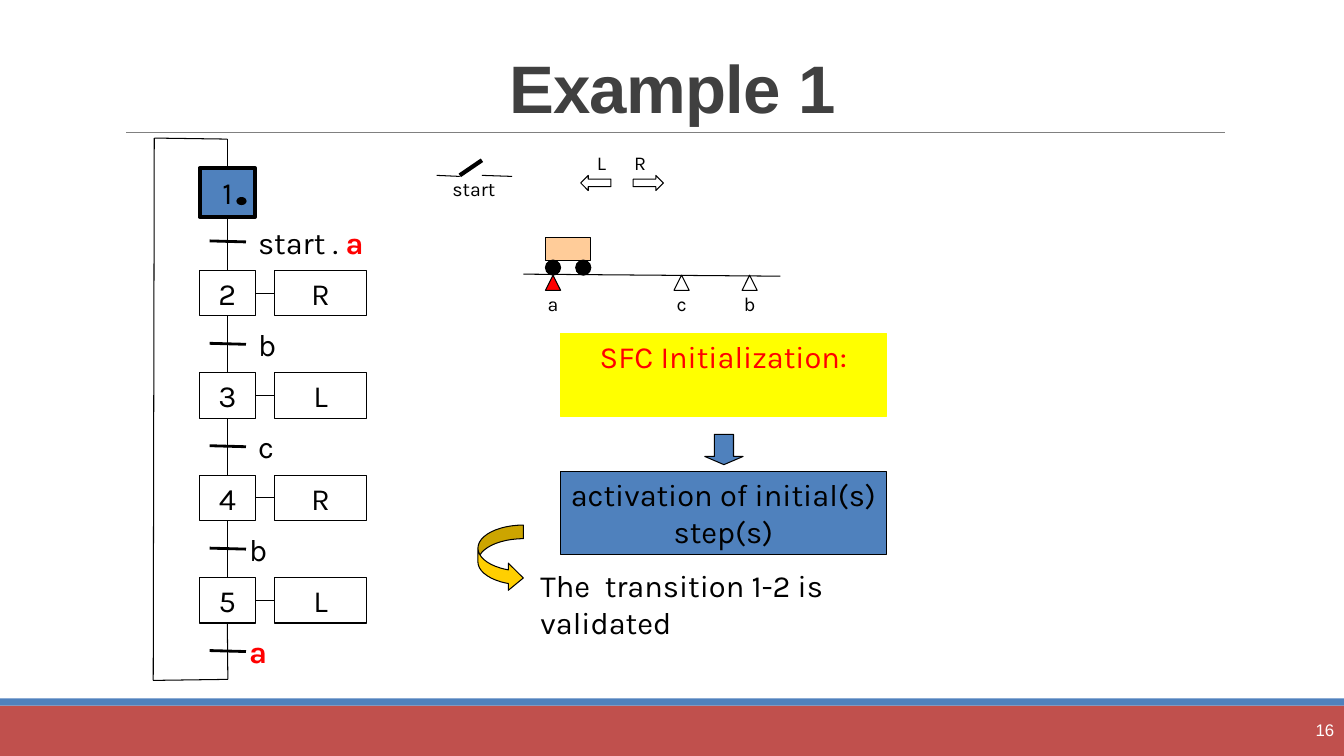
import pptx
import pptx.util
import pptx.dml.color
import pptx.enum.shapes
import pptx.enum.text
import pptx.oxml.ns
import lxml.etree

COLORS = {
    "black": "000000", "white": "FFFFFF", "title": "404040", "rule": "808080",
    "red": "FF0000", "blue": "4F81BD", "footer": "C0504D", "yellow": "FFFF00",
    "gold": "FFCF01", "cart": "FFCC99",
}
SHAPES = pptx.enum.shapes.MSO_SHAPE
ALIGN = pptx.enum.text.PP_ALIGN
ANCHOR = pptx.enum.text.MSO_ANCHOR
TOP, LEFT, BOTTOM, RIGHT = range(4)


def color_of(name):
    return pptx.dml.color.RGBColor.from_string(COLORS[name])


def write(para, text, font="Karla", size=22, color="black", bold=False,
          tracking=None):
    span = para.add_run()
    span.text = text
    span.font.name = font
    span.font.size = pptx.util.Pt(size)
    span.font.bold = bold
    span.font.color.rgb = color_of(color)
    if tracking is not None:
        span.font._element.set("spc", str(tracking))
    return span


class Page:
    """A slide whose columns and rows are a tenth of an inch each."""

    def __init__(self, deck, layout):
        self.slide = deck.slides.add_slide(layout)
        self.shapes = self.slide.shapes

    def cells(self, *counts):
        return [pptx.util.Inches(count / 10) for count in counts]

    def first_para(self, shape, align, anchor, leading=None, inset=0):
        """Prepare the text frame and return its only paragraph."""
        frame = shape.text_frame
        frame.word_wrap = True
        frame.vertical_anchor = anchor
        frame.margin_left = frame.margin_right = pptx.util.Inches(0.03)
        frame.margin_top = frame.margin_bottom = self.cells(inset)[0]
        para = frame.paragraphs[0]
        para.alignment = align
        if leading:
            para.line_spacing = pptx.util.Pt(leading)
        return para

    def title(self, text, area):
        box = self.shapes.title
        box.left, box.top, box.width, box.height = self.cells(*area)
        box.text_frame.vertical_anchor = ANCHOR.BOTTOM
        para = box.text_frame.paragraphs[0]
        para.alignment = ALIGN.CENTER
        para.line_spacing = 0.85
        write(para, text, font="Arial", size=48, color="title", bold=True,
              tracking=-50)

    def shape(self, kind, area, fill=None, line="black", weight=0.75,
              adjust=()):
        shape = self.shapes.add_shape(kind, *self.cells(*area))
        shape.shadow.inherit = False
        if fill:
            shape.fill.solid()
            shape.fill.fore_color.rgb = color_of(fill)
        else:
            shape.fill.background()
        if line:
            shape.line.color.rgb = color_of(line)
            shape.line.width = pptx.util.Pt(weight)
        else:
            shape.line.fill.background()
        for index, value in enumerate(adjust):
            shape.adjustments[index] = value
        return shape

    def block(self, text, area, anchor=ANCHOR.MIDDLE, inset=0, color="black",
              **style):
        """Draw a rectangle with centred text in it."""
        shape = self.shape(SHAPES.RECTANGLE, area, **style)
        para = self.first_para(shape, ALIGN.CENTER, anchor, 26.1, inset)
        write(para, text, color=color)
        return shape

    def label(self, text, area, align=ALIGN.LEFT, leading=26.1,
              anchor=ANCHOR.TOP, **style):
        box = self.shapes.add_textbox(*self.cells(*area))
        para = self.first_para(box, align, anchor, leading)
        box.text_frame.margin_left = box.text_frame.margin_right = 0
        write(para, text, **style)
        return para

    def caption(self, text, center, top):
        self.label(text, (center - 3.4, top, 6.8, 2.4), align=ALIGN.CENTER,
                   leading=17.1, size=14)

    def line(self, begin, end, color="black", weight=0.75):
        """Join two ends, each a (column, row) or a (shape, side)."""
        spots = [(0, 0) if hasattr(spot[0], "shape_id") else spot
                 for spot in (begin, end)]
        line = self.shapes.add_connector(
            pptx.enum.shapes.MSO_CONNECTOR.STRAIGHT,
            *self.cells(*spots[0], *spots[1]))
        if hasattr(begin[0], "shape_id"):
            line.begin_connect(*begin)
        if hasattr(end[0], "shape_id"):
            line.end_connect(*end)
        line.line.color.rgb = color_of(color)
        line.line.width = pptx.util.Pt(weight)
        lxml.etree.SubElement(line._element.spPr,
                              pptx.oxml.ns.qn("a:effectLst"))


def draw_frame(page):
    page.shape(SHAPES.RECTANGLE, (0, 70, 133.33, 5), fill="footer", line=None)
    page.shape(SHAPES.RECTANGLE, (0, 69.3, 133.33, 0.7), fill="blue", line=None)
    page.line((12.5, 13.1), (121.5, 13.1), color="rule", weight=0.5)
    page.title("Example 1", (11.7, 1.7, 110, 11.4))
    number = page.label("16", (119, 70.4, 13.33, 4), align=ALIGN.RIGHT,
                        leading=None, anchor=ANCHOR.MIDDLE, font="Arial",
                        size=12, color="white")
    number.line_spacing = 1.0


def draw_plant(page):
    """Draw the cart on its track, the start switch and the motor arrows."""
    page.line((51.9, 27.2), (77.4, 27.4))
    page.shape(SHAPES.RECTANGLE, (54.1, 23.6, 4.5, 2.25), fill="cart")
    for left in (54.1, 57.1):
        page.shape(SHAPES.OVAL, (left, 25.8, 1.5, 1.5), fill="black")
    for name, center, fill in (("a", 54.85, "red"), ("c", 67.6, None),
                               ("b", 74.35, None)):
        page.shape(SHAPES.ISOSCELES_TRIANGLE, (center - 0.75, 27.3, 1.5, 1.5),
                   fill=fill)
        page.caption(name, center, 28.9)

    page.line((43.3, 17.4), (45.6, 17.5))
    page.line((45.6, 17.4), (47.8, 15.9), weight=3)
    page.line((47.8, 17.4), (50.8, 17.5))
    page.caption("start", 47, 17.5)

    for name, center, kind, left in (("L", 59.65, SHAPES.LEFT_ARROW, 57.6),
                                     ("R", 63.5, SHAPES.RIGHT_ARROW, 62.8)):
        page.caption(name, center, 14.9)
        page.shape(kind, (left, 17.4, 3, 1.5))


def draw_explanation(page):
    page.block("SFC Initialization:", (55.6, 33.1, 32.3, 8.2),
               anchor=ANCHOR.TOP, inset=0.5, color="red", fill="yellow",
               line="yellow")
    page.shape(SHAPES.DOWN_ARROW, (69.9, 43.1, 3.8, 3), fill="blue",
               adjust=(0.5, 0.27))
    page.block("activation of initial(s) step(s)", (55.6, 46.8, 32.3, 8.2),
               fill="blue")
    page.shape(SHAPES.CURVED_RIGHT_ARROW, (47.4, 52.1, 4.5, 6.6), fill="gold",
               adjust=(0.3, 0.6, 0.33))
    page.label("The  transition 1-2 is validated", (53.6, 56.3, 36.8, 7.3))


def draw_chart(page):
    """Draw the steps, their actions, the transitions and the return loop."""
    pitch = 10.16
    steps = [page.block("1", (19.8, 16.7, 5.5, 4.8), fill="blue", weight=3)]
    page.shape(SHAPES.OVAL, (23.5, 19.6, 0.9, 0.7), fill="black")
    for index, action in enumerate("RLRL"):
        top = 26.83 + index * pitch
        step = page.block(str(index + 2), (19.8, top, 5.5, 4.5))
        motor = page.block(action, (27.2, top, 9.2, 4.5))
        page.line((step, RIGHT), (motor, LEFT))
        page.line((steps[-1], BOTTOM), (step, TOP))
        steps.append(step)

    transitions = (("start . ", "a", 25.6), ("b", "", 25.6), ("c", "", 25.6),
                   ("b", "", 24.7), ("", "a", 24.7))
    for index, (plain, active, left) in enumerate(transitions):
        shift = index * pitch
        page.line((20.8, 23.9 + shift), (24.4, 24 + shift), weight=2)
        area = (left, 22.2 + shift, 12.2, 3.6)
        if plain:
            para = page.label(plain, area)
            if active:
                write(para, active, color="red", bold=True)
        else:
            page.label(active, area, color="red", bold=True)

    corners = [(steps[-1], BOTTOM), (22.6, 67.4), (15.2, 67.5), (15.3, 13.7),
               (22.55, 13.8), (steps[0], TOP)]
    for begin, end in zip(corners, corners[1:]):
        page.line(begin, end)


def main():
    deck = pptx.Presentation()
    deck.slide_width = pptx.util.Inches(13.33)
    deck.slide_height = pptx.util.Inches(7.5)
    page = Page(deck, deck.slide_layouts.get_by_name("Title Only"))
    draw_frame(page)
    draw_plant(page)
    draw_explanation(page)
    draw_chart(page)
    deck.save("out.pptx")


if __name__ == "__main__":
    main()
